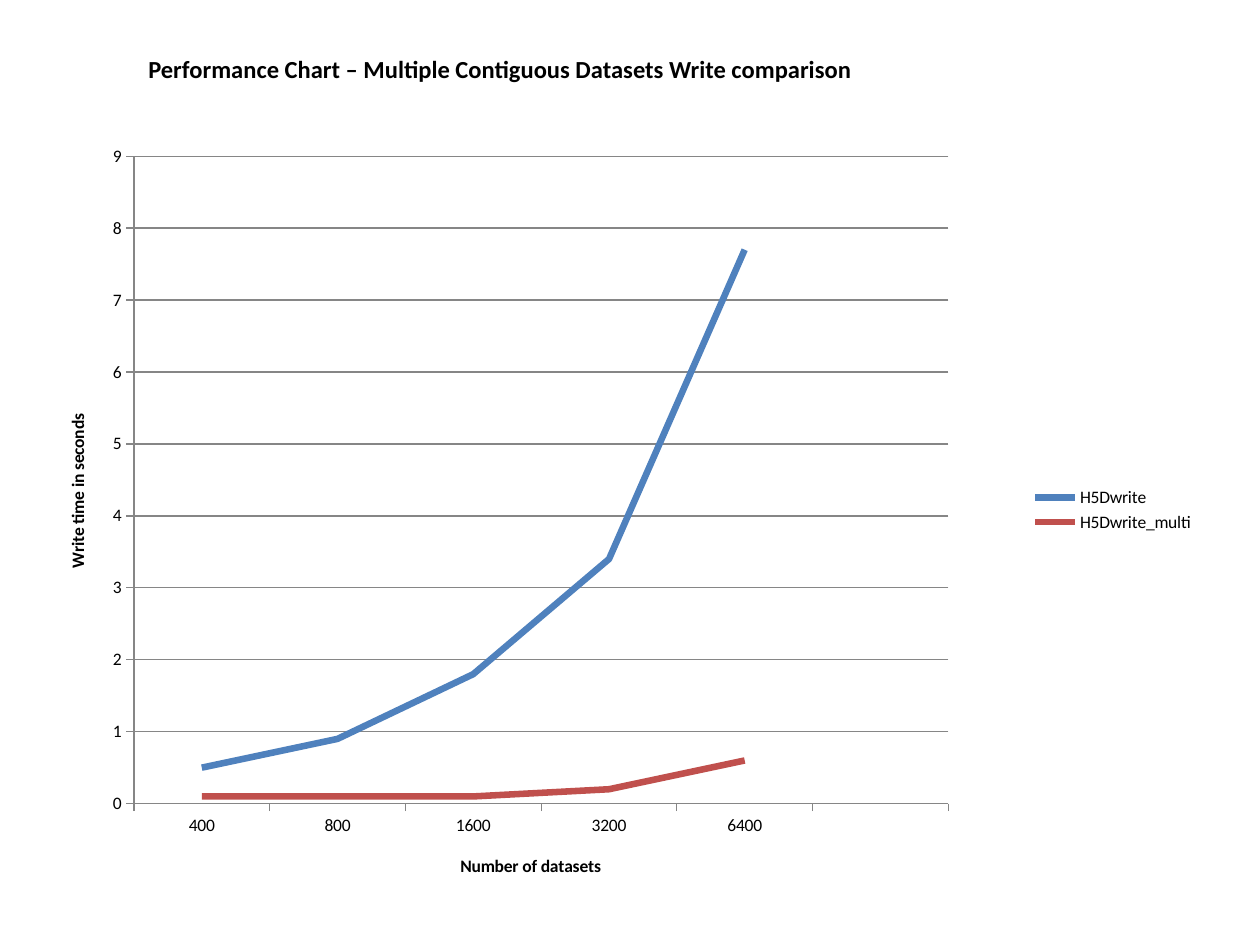
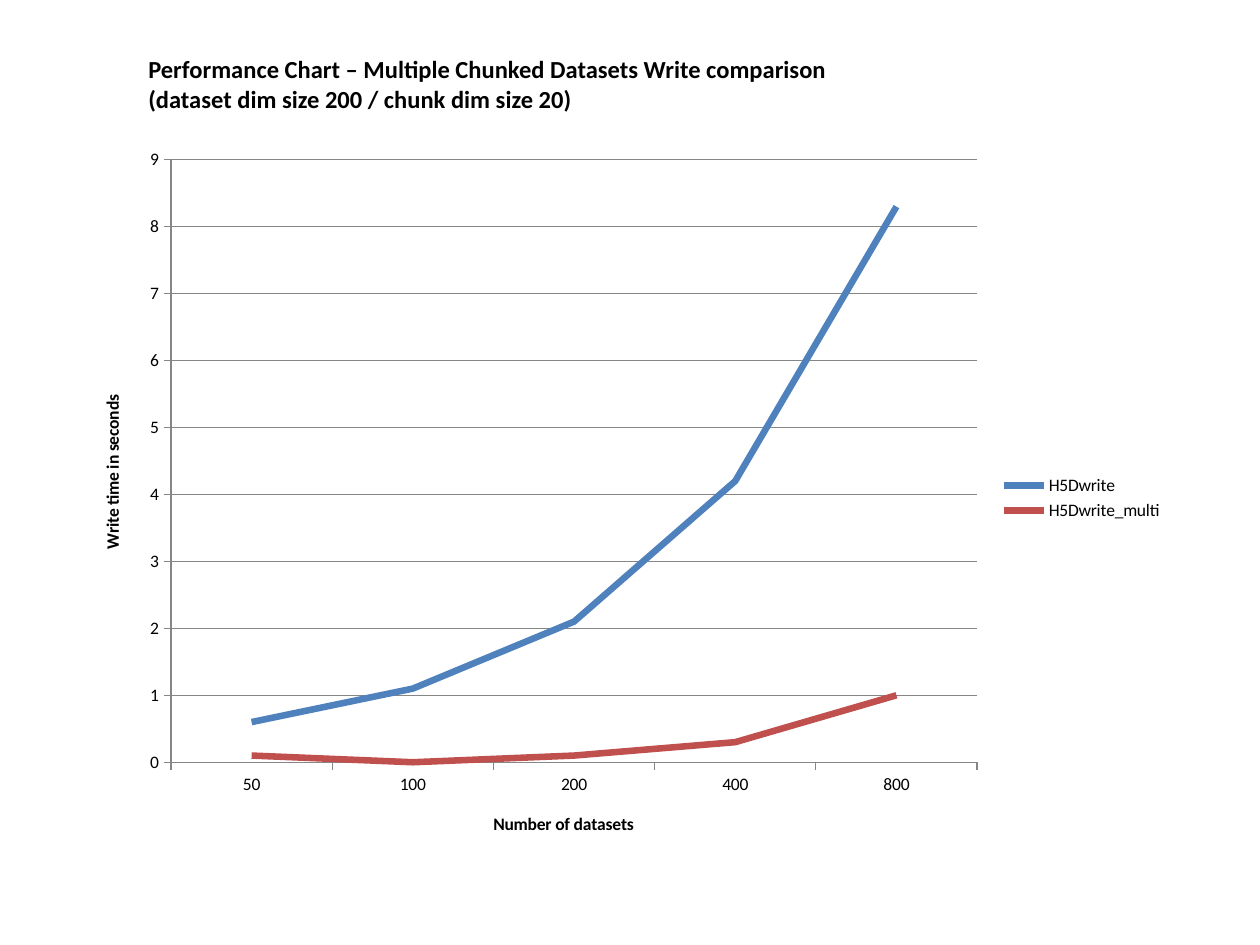
from dataclasses import dataclass

from lxml import etree
from pptx import Presentation, util as u
from pptx.chart.data import CategoryChartData
from pptx.dml.color import RGBColor
from pptx.enum import chart as ch, text
from pptx.oxml import ns


@dataclass(frozen=True)
class Theme:
    font: str = "Calibri"
    ink: str = "000000"
    grid: str = "868686"
    series: tuple = ("4F81BD", "C0504D")
    title_size: float = 14
    label_size: float = 10
    curve_width: float = 3.75
    hairline: float = 0.75


class Deck:
    """Holds the theme, the presentation and the slide being filled."""

    def __init__(self, theme):
        self.theme = theme
        self.prs = Presentation()
        self.prs.slide_width, self.prs.slide_height = u.Cm(25.4), u.Cm(19.05)
        self.slide = None

    def new_slide(self):
        self.slide = self.prs.slides.add_slide(self.prs.slide_layouts[6])

    def style_font(self, font, size, bold=False):
        font.name, font.size, font.bold = self.theme.font, u.Pt(size), bold
        font.color.rgb = RGBColor.from_string(self.theme.ink)

    def style_line(self, line, color, width):
        line.color.rgb = RGBColor.from_string(color)
        line.width = u.Pt(width)

    def title(self, lines):
        height = 0.26 + 0.6 * len(lines)
        box = self.slide.shapes.add_textbox(u.Cm(2.74), u.Cm(0.97), u.Cm(15.24), u.Cm(height))
        frame = box.text_frame
        frame.word_wrap = True
        frame.auto_size = text.MSO_AUTO_SIZE.SHAPE_TO_FIT_TEXT
        for i, line in enumerate(lines):
            paragraph = frame.add_paragraph() if i else frame.paragraphs[0]
            run = paragraph.add_run()
            run.text = line
            self.style_font(run.font, self.theme.title_size, bold=True)

    def line_chart(self, box, plot_area, categories, timings):
        data = CategoryChartData()
        data.categories = categories
        for name, seconds in timings.items():
            data.add_series(name, seconds)
        chart = self.slide.shapes.add_chart(
            ch.XL_CHART_TYPE.LINE, *(u.Cm(v) for v in box), data).chart
        self.style_font(chart.font, self.theme.label_size)
        chart.has_title = False

        # Legend
        chart.has_legend = True
        chart.legend.position = ch.XL_LEGEND_POSITION.RIGHT
        chart.legend.include_in_layout = False

        # Axes
        self.axis(chart.category_axis, "Number of datasets")
        seconds_axis = chart.value_axis
        self.axis(seconds_axis, "Write time in seconds")
        seconds_axis.minimum_scale, seconds_axis.maximum_scale = 0, 9
        seconds_axis.major_unit = 1
        seconds_axis.tick_labels.number_format = "0"
        seconds_axis.tick_labels.number_format_is_linked = False
        seconds_axis.has_major_gridlines = True
        self.style_line(seconds_axis.major_gridlines.format.line,
                        self.theme.grid, self.theme.hairline)

        # Curves
        chart.plots[0].vary_by_categories = False
        for curve, color in zip(chart.plots[0].series, self.theme.series):
            curve.smooth = False
            self.style_line(curve.format.line, color, self.theme.curve_width)
        self.place_plot(chart, plot_area)

    def axis(self, axis, caption):
        axis.major_tick_mark = ch.XL_TICK_MARK.OUTSIDE
        axis.minor_tick_mark = ch.XL_TICK_MARK.NONE
        self.style_line(axis.format.line, self.theme.grid, self.theme.hairline)
        run = axis.axis_title.text_frame.paragraphs[0].add_run()
        run.text = caption
        self.style_font(run.font, self.theme.label_size, bold=True)

    def place_plot(self, chart, fractions):
        """Fix the inner plot area, given as fractions of the chart."""
        plot = chart.element.find(".//" + ns.qn("c:plotArea"))
        for old in plot.findall(ns.qn("c:layout")):
            plot.remove(old)
        layout = etree.Element(ns.qn("c:layout"))
        manual = etree.SubElement(layout, ns.qn("c:manualLayout"))
        settings = [("layoutTarget", "inner"), ("xMode", "edge"), ("yMode", "edge"),
                    *zip("xywh", fractions)]
        for tag, value in settings:
            etree.SubElement(manual, ns.qn("c:" + tag)).set("val", str(value))
        plot.insert(0, layout)


def main():
    deck = Deck(Theme())

    # Contiguous datasets, with one empty slot at the right
    deck.new_slide()
    deck.line_chart(
        (1.27, 2.34, 23.06, 15.88), (0.062, 0.051, 0.712, 0.822),
        ["400", "800", "1600", "3200", "6400", ""],
        {"H5Dwrite": [0.5, 0.9, 1.8, 3.4, 7.7, None],
         "H5Dwrite_multi": [0.1, 0.1, 0.1, 0.2, 0.6, None]})
    deck.title(["Performance Chart – Multiple Contiguous Datasets Write comparison"])

    # Chunked datasets
    deck.new_slide()
    deck.line_chart(
        (1.47, 2.74, 22.23, 14.6), (0.089, 0.033, 0.731, 0.832),
        ["50", "100", "200", "400", "800"],
        {"H5Dwrite": [0.6, 1.1, 2.1, 4.2, 8.3],
         "H5Dwrite_multi": [0.1, 0, 0.1, 0.3, 1]})
    deck.title(["Performance Chart – Multiple Chunked Datasets Write comparison",
                "(dataset dim size 200 / chunk dim size 20)"])

    deck.prs.save("out.pptx")


if __name__ == "__main__":
    main()
